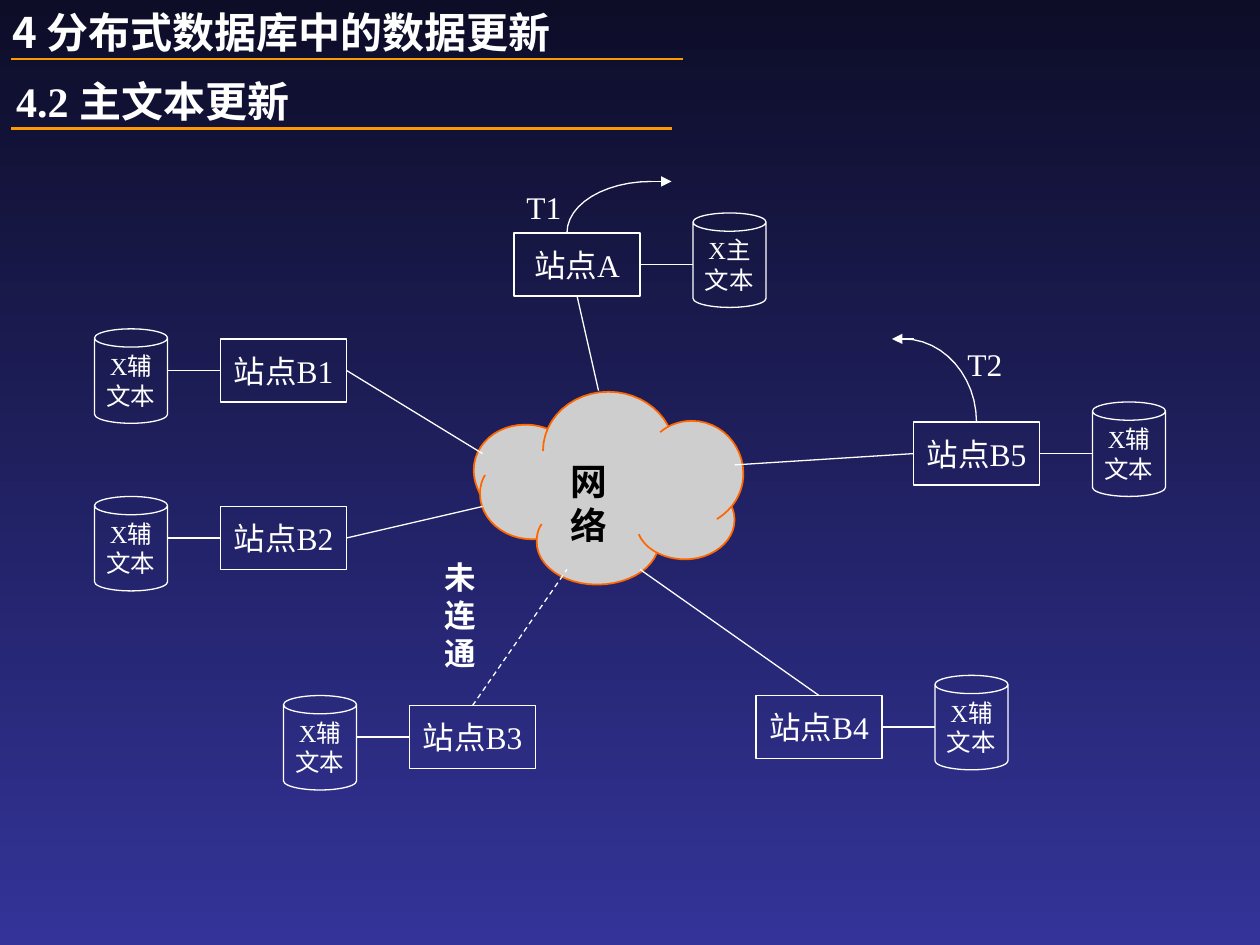
import pptx
import pptx.dml.color
import pptx.enum.dml
import pptx.enum.shapes
import pptx.enum.text
import pptx.oxml
import pptx.oxml.ns
import pptx.util

Inches = pptx.util.Inches
Pt = pptx.util.Pt
Align = pptx.enum.text.PP_ALIGN
Anchor = pptx.enum.text.MSO_ANCHOR
Preset = pptx.enum.shapes.MSO_SHAPE

COLORS = {
    "night": "0D0D28",
    "blue": "333399",
    "white": "FFFFFF",
    "black": "000000",
    "rule": "FF9900",
    "cloud": "CECECE",
    "cloud_edge": "FF6600",
}
LATIN = "Times New Roman"
CJK = "Noto Sans CJK SC"

CLOUD_BASE = [(4.76, 3.48), (4.29, 3.5), (3.9, 3.84), (4.31, 4.23), (4.82, 4.43),
              (5.65, 4.16), (5.77, 3.89), (5.32, 3.45)]
CLOUD_LOBES = [
    ((4.17, 3.73), [(3.81, 3.92), (3.78, 3.86), (3.76, 3.8), (3.76, 3.73), (3.76, 3.53),
                    (3.94, 3.37), (4.17, 3.37), (4.28, 3.37), (4.4, 3.41), (4.47, 3.49)]),
    ((4.83, 3.58), [(4.31, 3.58), (4.31, 3.32), (4.54, 3.11), (4.83, 3.11),
                    (5.1, 3.11), (5.33, 3.3), (5.35, 3.54)]),
    ((4.22, 3.92), [(4.4, 4.25), (4.35, 4.27), (4.28, 4.28), (4.22, 4.28), (4, 4.28),
                    (3.81, 4.12), (3.81, 3.92), (3.81, 3.87), (3.82, 3.82), (3.85, 3.77)]),
    ((4.74, 4.3), [(5.23, 4.27), (5.23, 4.28), (5.23, 4.29), (5.23, 4.3), (5.23, 4.49),
                   (5.01, 4.64), (4.74, 4.64), (4.47, 4.64), (4.26, 4.49), (4.26, 4.3),
                   (4.26, 4.25), (4.27, 4.2), (4.3, 4.16)]),
    ((5.44, 4.13), [(5.72, 3.91), (5.79, 3.97), (5.83, 4.04), (5.83, 4.13), (5.83, 4.3),
                    (5.65, 4.44), (5.44, 4.44), (5.27, 4.44), (5.12, 4.36), (5.07, 4.24)]),
    ((5.49, 3.76), [(5.24, 3.43), (5.31, 3.37), (5.4, 3.34), (5.49, 3.34), (5.72, 3.34),
                    (5.9, 3.53), (5.9, 3.76), (5.9, 3.91), (5.82, 4.04), (5.69, 4.12)]),
]
TOP, LEFT, RIGHT, BOTTOM = 0, 1, 3, 2
STATIONS = [
    ("站点A", "X主", 4.08, 1.85, RIGHT, BOTTOM, (4.75, 3.1)),
    ("站点B2", "X辅", 1.75, 4.02, LEFT, RIGHT, (3.83, 4.02)),
    ("站点B1", "X辅", 1.75, 2.69, LEFT, RIGHT, (3.83, 3.6)),
    ("站点B3", "X辅", 3.25, 5.6, LEFT, TOP, (4.5, 4.52)),
    ("站点B5", "X辅", 7.25, 3.35, RIGHT, LEFT, (5.83, 3.69)),
    ("站点B4", "X辅", 6, 5.52, RIGHT, TOP, (5.08, 4.52)),
]


def rgb(name):
    return pptx.dml.color.RGBColor.from_string(COLORS[name])


def set_font(font, size, color="white", bold=False, latin=LATIN):
    font.size = Pt(size)
    font.bold = bold
    font.color.rgb = rgb(color)
    font.name = latin
    east_asian = pptx.oxml.parse_xml(
        f'<a:ea {pptx.oxml.ns.nsdecls("a")} typeface="{CJK}"/>')
    font._element.find(pptx.oxml.ns.qn("a:latin")).addnext(east_asian)


def style_shape(shape, fill=None, line=None, width=0.75):
    shape.shadow.inherit = False
    if fill:
        shape.fill.solid()
        shape.fill.fore_color.rgb = rgb(fill)
    else:
        shape.fill.background()
    if line:
        shape.line.color.rgb = rgb(line)
        shape.line.width = Pt(width)
    else:
        shape.line.fill.background()


def add_text(slide, text, left, top, width, height, size, color="white", bold=False,
             inset=0.1, wrap=True):
    box = slide.shapes.add_textbox(Inches(left), Inches(top), Inches(width), Inches(height))
    frame = box.text_frame
    frame.word_wrap = wrap
    frame.margin_left = frame.margin_right = Inches(inset)
    frame.margin_top = frame.margin_bottom = Inches(inset / 2)
    frame.text = text
    set_font(frame.paragraphs[0].font, size, color, bold)
    return box


def add_line(slide, start, end, color="white", width=0.75, arrow=False):
    line = slide.shapes.add_connector(
        pptx.enum.shapes.MSO_CONNECTOR.STRAIGHT, *map(Inches, start + end))
    line.line.color.rgb = rgb(color)
    line.line.width = Pt(width)
    namespace = pptx.oxml.ns.nsdecls("a")
    if arrow:
        line.line._get_or_add_ln().append(
            pptx.oxml.parse_xml(f'<a:tailEnd {namespace} type="triangle"/>'))
    line._element.spPr.append(pptx.oxml.parse_xml(f"<a:effectLst {namespace}/>"))
    return line


def curve_points(controls, steps=12):
    points = [controls[0]]
    for first in range(0, len(controls) - 1, 3):
        a, b, c, d = controls[first:first + 4]
        for step in range(1, steps + 1):
            t = step / steps
            weights = ((1 - t) ** 3, 3 * t * (1 - t) ** 2, 3 * t * t * (1 - t), t ** 3)
            points.append(tuple(sum(w * point[axis] for w, point in zip(weights, (a, b, c, d)))
                                for axis in (0, 1)))
    return points


def add_outline(slide, points, close, **style):
    points = [(Inches(x), Inches(y)) for x, y in points]
    builder = slide.shapes.build_freeform(*points[0])
    builder.add_line_segments(points[1:], close=close)
    style_shape(builder.convert_to_shape(), **style)


def add_background(slide):
    fill = slide.background.fill
    fill.gradient()
    fill.gradient_angle = 270
    for stop, position, color in zip(fill.gradient_stops, (0, 1), ("night", "blue")):
        stop.position = position
        stop.color.rgb = rgb(color)


def add_headings(slide):
    title = slide.shapes.title
    title.left, title.top, title.width, title.height = map(Inches, (0, 0, 5.84, 0.5))
    frame = title.text_frame
    frame.text = "4 分布式数据库中的数据更新"
    frame.vertical_anchor = Anchor.TOP
    frame.auto_size = pptx.enum.text.MSO_AUTO_SIZE.NONE
    frame.paragraphs[0].alignment = Align.LEFT
    set_font(frame.paragraphs[0].font, 24, bold=True, latin=CJK)
    add_line(slide, (0.09, 0.47), (5.42, 0.47), "rule", 1.5)
    add_text(slide, "4.2 主文本更新", 0.03, 0.55, 5.84, 0.5, 24, bold=True)
    add_line(slide, (0.09, 1.02), (5.33, 1.02), "rule", 1.5)


def add_cloud(slide):
    add_outline(slide, CLOUD_BASE, True, fill="cloud")
    for center, controls in CLOUD_LOBES:
        edge = curve_points(controls)
        add_outline(slide, edge + [center], True, fill="cloud")
        add_outline(slide, edge, False, line="cloud_edge", width=1)
    add_text(slide, "网络", 4.53, 3.64, 0.58, 0.35, 21, "black", True, inset=0, wrap=False)


def add_node(slide, preset, lines, left, top, width, height, size):
    node = slide.shapes.add_shape(preset, *map(Inches, (left, top, width, height)))
    style_shape(node, line="white")
    frame = node.text_frame
    frame.word_wrap = False
    frame.vertical_anchor = Anchor.MIDDLE
    frame.text = "\n".join(lines)
    for paragraph in frame.paragraphs:
        paragraph.alignment = Align.CENTER
        set_font(paragraph.font, size)
    return node


def add_station(slide, name, copy_label, left, top, store_side, link_side, cloud_point):
    station = add_node(slide, Preset.RECTANGLE, [name], left, top, 1, 0.5, 18)
    on_right = store_side == RIGHT
    store_left = left + (1.42 if on_right else -1)
    store_top = top - (0.16 if on_right else 0.08)
    add_node(slide, Preset.CAN, [copy_label, "文本"], store_left, store_top, 0.58, 0.75, 14)
    store_edge = store_left if on_right else store_left + 0.58
    middle = top + 0.25
    store_line = add_line(slide, (left, middle), (store_edge, middle))
    store_line.begin_connect(station, store_side)
    link = add_line(slide, (left, top), cloud_point)
    link.begin_connect(station, link_side)
    return link


def add_transaction(slide, name, label_box, curve, arrow_start, arrow_end):
    add_outline(slide, curve_points(curve), False, line="white")
    add_line(slide, arrow_start, arrow_end, arrow=True)
    add_text(slide, name, *label_box, 18)


def main():
    presentation = pptx.Presentation()
    presentation.slide_width, presentation.slide_height = Inches(10), Inches(7.5)
    slide = presentation.slides.add_slide(presentation.slide_layouts[5])
    add_background(slide)
    add_headings(slide)
    add_cloud(slide)
    links = {station[0]: add_station(slide, *station) for station in STATIONS}
    links["站点B3"].line.dash_style = pptx.enum.dml.MSO_LINE.DASH
    add_transaction(slide, "T1", (4.08, 1.44, 0.5, 0.4),
                    [(5.17, 1.44), (4.8, 1.44), (4.5, 1.62), (4.5, 1.85)],
                    (5.17, 1.44), (5.33, 1.44))
    add_transaction(slide, "T2", (7.58, 2.69, 0.58, 0.4),
                    [(7.17, 2.69), (7.49, 2.69), (7.75, 2.99), (7.75, 3.35)],
                    (7.25, 2.69), (7.08, 2.69))
    add_text(slide, "未连通", 3.43, 4.38, 0.63, 1, 18, bold=True)
    presentation.save("out.pptx")


if __name__ == "__main__":
    main()
